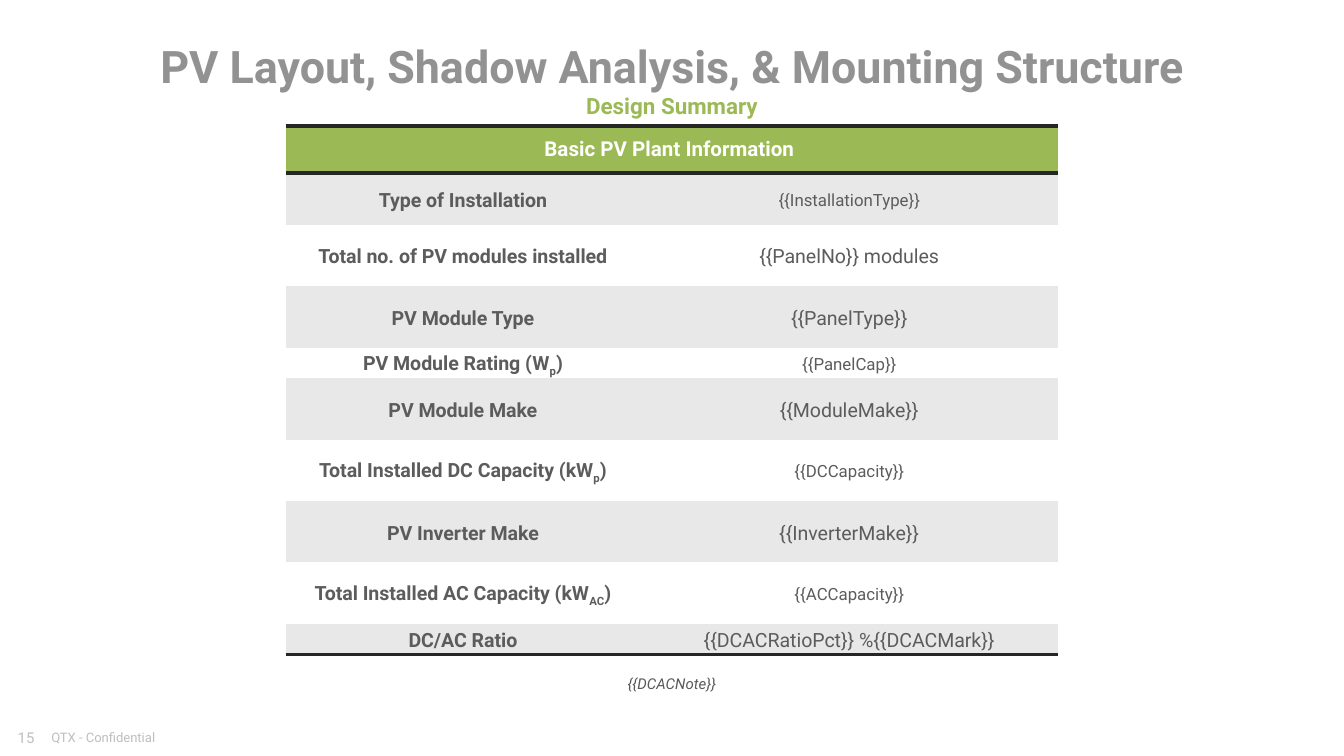
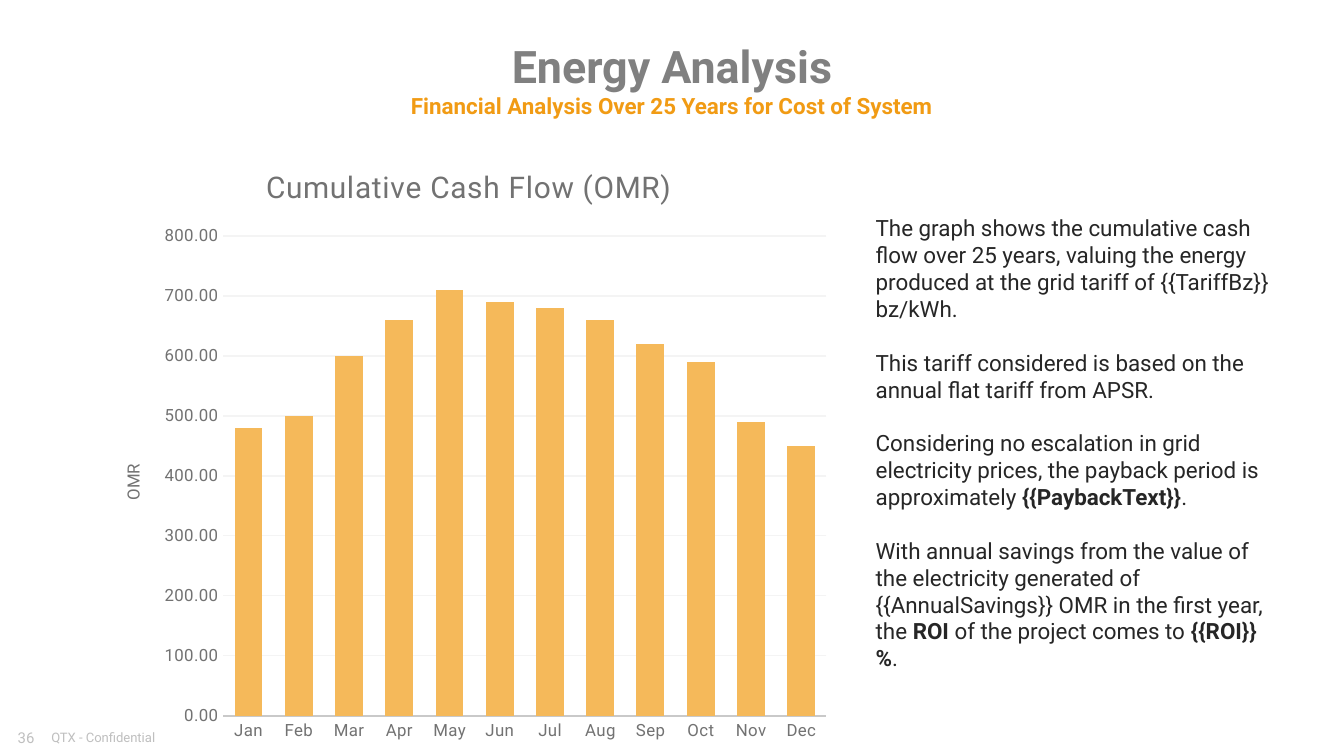
"""Build two solar report slides: a plant summary table and a cash flow chart."""
from dataclasses import dataclass

from lxml import etree
from pptx import Presentation
from pptx import util as u
from pptx.chart import data as cd
from pptx.dml import color as dc
from pptx.enum import chart as ec, text as et
from pptx.oxml.ns import qn

FONT = "Roboto"
GREEN, ORANGE, BAR = "9BB955", "F19B14", "F5B95A"
INK, BODY, AXIS, PALE = "262626", "5C5C5C", "727272", "BFBFBF"
WHITE, BAND = "FFFFFF", "E8E8E8"
LEFT, MID = et.PP_ALIGN.LEFT, et.PP_ALIGN.CENTER
BLANK = 6


@dataclass(frozen=True)
class Box:
    """Place of an item in centimetres."""
    left: float
    top: float
    width: float
    height: float

    def cm(self) -> list[u.Cm]:
        """Return the four lengths."""
        return [u.Cm(v) for v in (self.left, self.top, self.width, self.height)]


@dataclass(frozen=True)
class Row:
    """One table line; a part of the label between bars is subscript."""
    label: str
    value: str
    height: float = 1.16
    size: float = 10.5


@dataclass(frozen=True)
class Head:
    """Heading and page number of a slide."""
    title: str
    sub: str
    page: str
    tint: str
    accent: str


NUMBER = Box(0, 13.56, 0.99, 0.76)
FOOTER = Box(0.97, 13.79, 3.91, 0.3)
TITLE = Box(0.7, 0.74, 24, 0.99)
SUB = Box(0.7, 1.71, 24, 0.56)
TABLE = Box(5.4, 2.38, 14.6, 9.95)
NOTE = Box(1.27, 12.62, 22.86, 0.97)
STORY = Box(16.3, 3.93, 8, 8.46)
CHART = Box(1.83, 2.74, 14.07, 11.48)

COLS = (6.7, 7.9)
ROWS = (
    Row("Type of Installation", "{{InstallationType}}", 0.98, 9),
    Row("Total no. of PV modules installed", "{{PanelNo}} modules"),
    Row("PV Module Type", "{{PanelType}}"),
    Row("PV Module Rating (W|p|)", "{{PanelCap}}", 0.58, 9),
    Row("PV Module Make", "{{ModuleMake}}"),
    Row("Total Installed DC Capacity (kW|p|)", "{{DCCapacity}}", size=9),
    Row("PV Inverter Make", "{{InverterMake}}"),
    Row("Total Installed AC Capacity (kW|AC|)", "{{ACCapacity}}", size=9),
    Row("DC/AC Ratio", "{{DCACRatioPct}} %{{DCACMark}}", 0.58),
)
PARAS = (
    "The graph shows the cumulative cash flow over 25 years, valuing the energy "
    "produced at the grid tariff of {{TariffBz}} bz/kWh.",
    "This tariff considered is based on the annual flat tariff from APSR.",
    "Considering no escalation in grid electricity prices, the payback period is "
    "approximately |{{PaybackText}}|.",
    "With annual savings from the value of the electricity generated of "
    "{{AnnualSavings}} OMR in the first year, the |ROI| of the project comes to "
    "|{{ROI}}%|.",
)
MONTHS = "Jan Feb Mar Apr May Jun Jul Aug Sep Oct Nov Dec".split()
CASH = (480, 500, 600, 660, 710, 690, 680, 660, 620, 590, 490, 450)


def rgb(code: str) -> dc.RGBColor:
    """Turn a hex string into a colour."""
    return dc.RGBColor.from_string(code)


def style(font, size: float, color: str, bold=False, italic=False, track=0) -> None:
    """Format one font; track is letter spacing in hundredths of a point."""
    font.name, font.size = FONT, u.Pt(size)
    font.bold, font.italic = bold, italic
    font.color.rgb = rgb(color)
    if track:
        font._element.set("spc", str(track))


def write(frame, *paras: str, size: float, color: str, bold=False, italic=False,
          align=MID, gap=0.0, line=None, sub=False, track=0) -> None:
    """Fill a frame; parts between bars are subscript or bold."""
    for i, para in enumerate(paras):
        p = frame.add_paragraph() if i else frame.paragraphs[0]
        p.alignment = align
        if line:
            p.line_spacing = line
        if i and gap:
            p.space_before = u.Pt(gap)
        for j, part in enumerate(para.split("|")):
            if not part:
                continue
            run, mark = p.add_run(), j % 2 == 1
            run.text = part
            style(run.font, size, color, bold or (mark and not sub), italic, track)
            if mark and sub:
                run.font._element.set("baseline", "-25000")


def label(slide, box: Box, *paras: str, pad=True, wrap=True,
          anchor=et.MSO_ANCHOR.MIDDLE, **look) -> None:
    """Add a text box."""
    frame = slide.shapes.add_textbox(*box.cm()).text_frame
    frame.word_wrap, frame.vertical_anchor = wrap, anchor
    if not pad:
        frame.margin_left = frame.margin_right = 0
        frame.margin_top = frame.margin_bottom = 0
    write(frame, *paras, **look)


def start(deck, head: Head):
    """Add a slide with its footer and headings."""
    slide = deck.slides.add_slide(deck.slide_layouts[BLANK])
    label(slide, NUMBER, head.page, size=8, color=PALE)
    label(slide, FOOTER, "QTX - Confidential", pad=False, size=7, color=PALE,
          align=LEFT)
    label(slide, TITLE, head.title, pad=False, wrap=False, size=24,
          color=head.tint, bold=True)
    label(slide, SUB, head.sub, pad=False, size=12, color=head.accent, bold=True)
    return slide


def rule(cell, *sides: str) -> None:
    """Draw dark borders on the given sides of a cell, in order T, B."""
    props = cell._tc.get_or_add_tcPr()
    for i, side in enumerate(sides):
        line = etree.Element(qn(f"a:ln{side}"), w=str(u.Pt(2)))
        fill = etree.SubElement(line, qn("a:solidFill"))
        etree.SubElement(fill, qn("a:srgbClr"), val=INK)
        props.insert(i, line)


def paint(cell, fill: str, words: str, pad: float, **look) -> None:
    """Fill a cell with colour and text."""
    cell.fill.solid()
    cell.fill.fore_color.rgb = rgb(fill)
    cell.vertical_anchor = et.MSO_ANCHOR.MIDDLE
    cell.margin_left = cell.margin_right = u.Cm(0.18)
    cell.margin_top = cell.margin_bottom = u.Cm(pad)
    write(cell.text_frame, words, **look)


def plant(slide) -> None:
    """Add the table of plant facts."""
    grid = slide.shapes.add_table(len(ROWS) + 1, len(COLS), *TABLE.cm()).table
    grid._tbl.tblPr.find(qn("a:tableStyleId")).text = (
        "{2D5ABB26-0587-4C30-8999-92F81FD0307C}")
    grid.horz_banding = False
    for col, width in zip(grid.columns, COLS):
        col.width = u.Cm(width)
    grid.rows[0].height = u.Cm(0.89)
    grid.cell(0, 0).merge(grid.cell(0, 1))
    paint(grid.cell(0, 0), GREEN, "Basic PV Plant Information ", 0.1,
          size=11, color=WHITE, bold=True)
    for i, row in enumerate(ROWS, 1):
        grid.rows[i].height = u.Cm(row.height)
        fill = BAND if i % 2 else WHITE
        paint(grid.cell(i, 0), fill, row.label, 0, size=10.5, color=BODY,
              bold=True, line=1.15, sub=True)
        paint(grid.cell(i, 1), fill, row.value, 0, size=row.size, color=BODY,
              line=1.15)
    for j in range(len(COLS)):
        rule(grid.cell(0, j), "T", "B")
        rule(grid.cell(len(ROWS), j), "B")


def place(item, index: int, **spots: float) -> None:
    """Give a chart part a fixed layout, as shares of the chart."""
    for old in item.findall(qn("c:layout")):
        item.remove(old)
    layout = etree.Element(qn("c:layout"))
    man = etree.SubElement(layout, qn("c:manualLayout"))
    if "w" in spots:
        etree.SubElement(man, qn("c:layoutTarget"), val="inner")
    for key in ("x", "y"):
        etree.SubElement(man, qn(f"c:{key}Mode"), val="edge")
    for key, val in spots.items():
        etree.SubElement(man, qn(f"c:{key}"), val=str(val))
    item.insert(index, layout)


def cash(slide) -> None:
    """Add the column chart of cash flow."""
    data = cd.CategoryChartData(number_format="#,##0.00")
    data.categories = MONTHS
    data.add_series("Series 1", CASH)
    chart = slide.shapes.add_chart(
        ec.XL_CHART_TYPE.COLUMN_CLUSTERED, *CHART.cm(), data).chart
    style(chart.font, 10, INK)
    chart.has_legend = False
    chart.has_title = True
    write(chart.chart_title.text_frame, "Cumulative Cash Flow (OMR)",
          size=16, color=AXIS, track=50)
    place(chart.chart_title._element, 1, x=0.22, y=0.03)
    place(chart._chartSpace.chart.plotArea, 0, x=0.17, y=0.15, w=0.81, h=0.79)

    plot = chart.plots[0]
    plot.gap_width, plot.overlap, plot.vary_by_categories = 80, 25, False
    bars = plot.series[0].format.fill
    bars.solid()
    bars.fore_color.rgb = rgb(BAR)

    cat, val = chart.category_axis, chart.value_axis
    for axis in (cat, val):
        axis.major_tick_mark = axis.minor_tick_mark = ec.XL_TICK_MARK.NONE
        style(axis.tick_labels.font, 9, AXIS, track=20)
    cat.format.line.color.rgb = rgb("C9C9C9")
    cat.format.line.width = u.Pt(1.25)
    val.format.line.fill.background()
    val.minimum_scale, val.maximum_scale, val.major_unit = 0, 800, 100
    val.tick_labels.number_format = "#,##0.00"
    val.tick_labels.number_format_is_linked = False
    mesh = val.major_gridlines.format.line
    mesh.color.rgb, mesh.width = rgb("F4F4F4"), u.Pt(0.75)
    val.has_title = True
    frame = val.axis_title.text_frame
    write(frame, "OMR", size=9, color=AXIS)
    frame._txBody.bodyPr.set("rot", "-5400000")
    frame._txBody.bodyPr.set("vert", "horz")
    place(val.axis_title._element, 1, x=0.03, y=0.52)


def main() -> None:
    """Build and save the deck."""
    deck = Presentation()
    deck.slide_width, deck.slide_height = u.Cm(25.4), u.Cm(14.29)

    slide = start(deck, Head("PV Layout, Shadow Analysis, & Mounting Structure",
                             "Design Summary", "15", "929292", GREEN))
    plant(slide)
    label(slide, NOTE, "{{DCACNote}}", anchor=et.MSO_ANCHOR.TOP, size=8,
          color="595959", italic=True)

    slide = start(deck, Head("Energy Analysis",
                             "Financial Analysis Over 25 Years for Cost of System",
                             "36", "808080", ORANGE))
    label(slide, STORY, *PARAS, anchor=et.MSO_ANCHOR.TOP, size=12, color=INK,
          align=LEFT, gap=14.4)
    cash(slide)
    deck.save("out.pptx")


if __name__ == "__main__":
    main()
